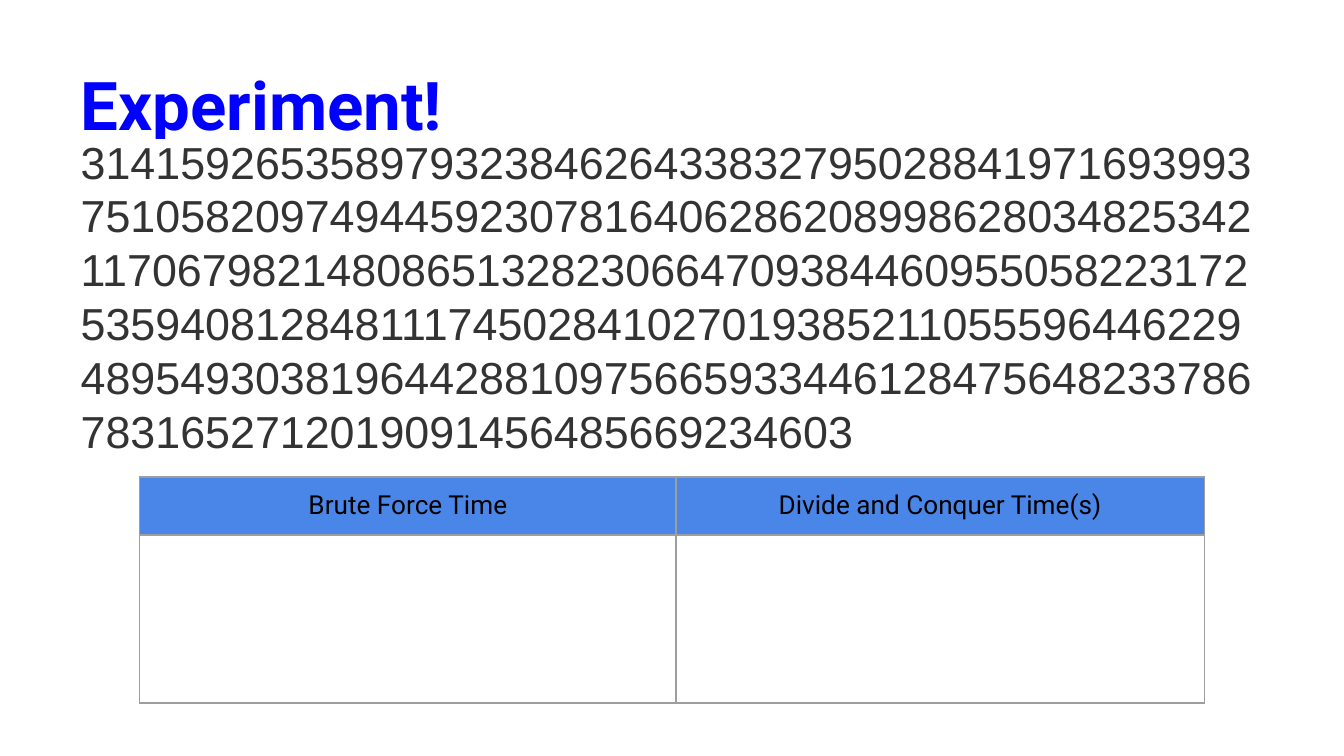
import pptx
import pptx.dml.color
import pptx.enum.text
import pptx.oxml
import pptx.oxml.ns
import pptx.util
from pptx.util import Inches

BLUE = pptx.dml.color.RGBColor(0x00, 0x00, 0xFF)
HEADER_BLUE = pptx.dml.color.RGBColor(0x4A, 0x86, 0xE8)
DARK = pptx.dml.color.RGBColor(0x33, 0x33, 0x33)
BLACK = pptx.dml.color.RGBColor(0x00, 0x00, 0x00)
WHITE = pptx.dml.color.RGBColor(0xFF, 0xFF, 0xFF)
GREY = pptx.dml.color.RGBColor(0x9E, 0x9E, 0x9E)

TITLE = "Experiment!"
DIGITS = (
    "31415926535897932384626433832795028841971693993"
    "75105820974944592307816406286208998628034825342"
    "11706798214808651328230664709384460955058223172"
    "53594081284811174502841027019385211055596446229"
    "48954930381964428810975665933446128475648233786"
    "7831652712019091456485669234603"
)
TABLE_ROWS = [["Brute Force Time", "Divide and Conquer Time(s)"], ["", ""]]
COLUMN_WIDTHS = [3.99, 3.93]
ROW_HEIGHTS = [0.43, 1.25]
TABLE_LEFT, TABLE_TOP = 1.04, 3.55
SLIDE_WIDTH = 10
SLIDE_HEIGHT = SLIDE_WIDTH * 9 / 16
INSET = Inches(0.1)


def write(frame, text, *, font, size, color, bold=False, align="LEFT",
          before=0, line=None, highlight=None):
    para = frame.paragraphs[0]
    para.alignment = getattr(pptx.enum.text.PP_ALIGN, align)
    para.space_before = pptx.util.Pt(before)
    if line:
        para.line_spacing = pptx.util.Pt(line)
    span = para.add_run()
    span.text = text
    span.font.size = pptx.util.Pt(size)
    span.font.bold = bold
    span.font.color.rgb = color
    if highlight is not None:
        span.font._element.append(pptx.oxml.parse_xml(
            f'<a:highlight {pptx.oxml.ns.nsdecls("a")}>'
            f'<a:srgbClr val="{highlight}"/></a:highlight>'))
    span.font.name = font
    return para


def place(box, left, top, width, height, anchor):
    box.left, box.top = Inches(left), Inches(top)
    box.width, box.height = Inches(width), Inches(height)
    frame = box.text_frame
    frame.word_wrap = True
    frame.auto_size = pptx.enum.text.MSO_AUTO_SIZE.NONE
    frame.vertical_anchor = anchor
    frame.margin_left = frame.margin_right = INSET
    frame.margin_top = frame.margin_bottom = INSET
    return frame


def remove_bullet(para):
    properties = para._p.get_or_add_pPr()
    properties.set("marL", "0")
    properties.set("indent", "0")
    properties.append(pptx.oxml.parse_xml(
        f'<a:buNone {pptx.oxml.ns.nsdecls("a")}/>'))


def set_borders(cell, color, points):
    properties = cell._tc.get_or_add_tcPr()
    for index, side in enumerate(("lnL", "lnR", "lnT", "lnB")):
        properties.insert(index, pptx.oxml.parse_xml(
            f'<a:{side} {pptx.oxml.ns.nsdecls("a")} w="{pptx.util.Pt(points)}">'
            f'<a:solidFill><a:srgbClr val="{color}"/></a:solidFill></a:{side}>'))


def add_times_table(page):
    table = page.shapes.add_table(
        len(ROW_HEIGHTS), len(COLUMN_WIDTHS), Inches(TABLE_LEFT), Inches(TABLE_TOP),
        Inches(sum(COLUMN_WIDTHS)), Inches(sum(ROW_HEIGHTS))).table
    table.first_row = table.horz_banding = False
    for column, width in zip(table.columns, COLUMN_WIDTHS):
        column.width = Inches(width)
    for row, height, texts in zip(table.rows, ROW_HEIGHTS, TABLE_ROWS):
        row.height = Inches(height)
        for cell, text in zip(row.cells, texts):
            cell.margin_left = cell.margin_right = INSET
            cell.margin_top = cell.margin_bottom = INSET
            if text:
                cell.fill.solid()
                cell.fill.fore_color.rgb = HEADER_BLUE
                write(cell.text_frame, text, font="Roboto", size=14,
                      color=BLACK, align="CENTER")
            else:
                cell.fill.background()
            set_borders(cell, GREY, 0.75)


def main():
    deck = pptx.Presentation()
    deck.slide_width = Inches(SLIDE_WIDTH)
    deck.slide_height = Inches(SLIDE_HEIGHT)
    page = deck.slides.add_slide(deck.slide_layouts[1])
    anchors = pptx.enum.text.MSO_ANCHOR

    title = place(page.shapes.title, 0.5, 0.23, 9, 0.94, anchors.BOTTOM)
    write(title, TITLE, font="Roboto", size=36, color=BLUE, bold=True)

    body = place(page.placeholders[1], 0.5, 0.9, 9, 4.07, anchors.TOP)
    para = write(body, DIGITS, font="Arial", size=24, color=DARK, before=6,
                 line=28.8, highlight=WHITE)
    remove_bullet(para)

    add_times_table(page)
    deck.save("out.pptx")


if __name__ == "__main__":
    main()
